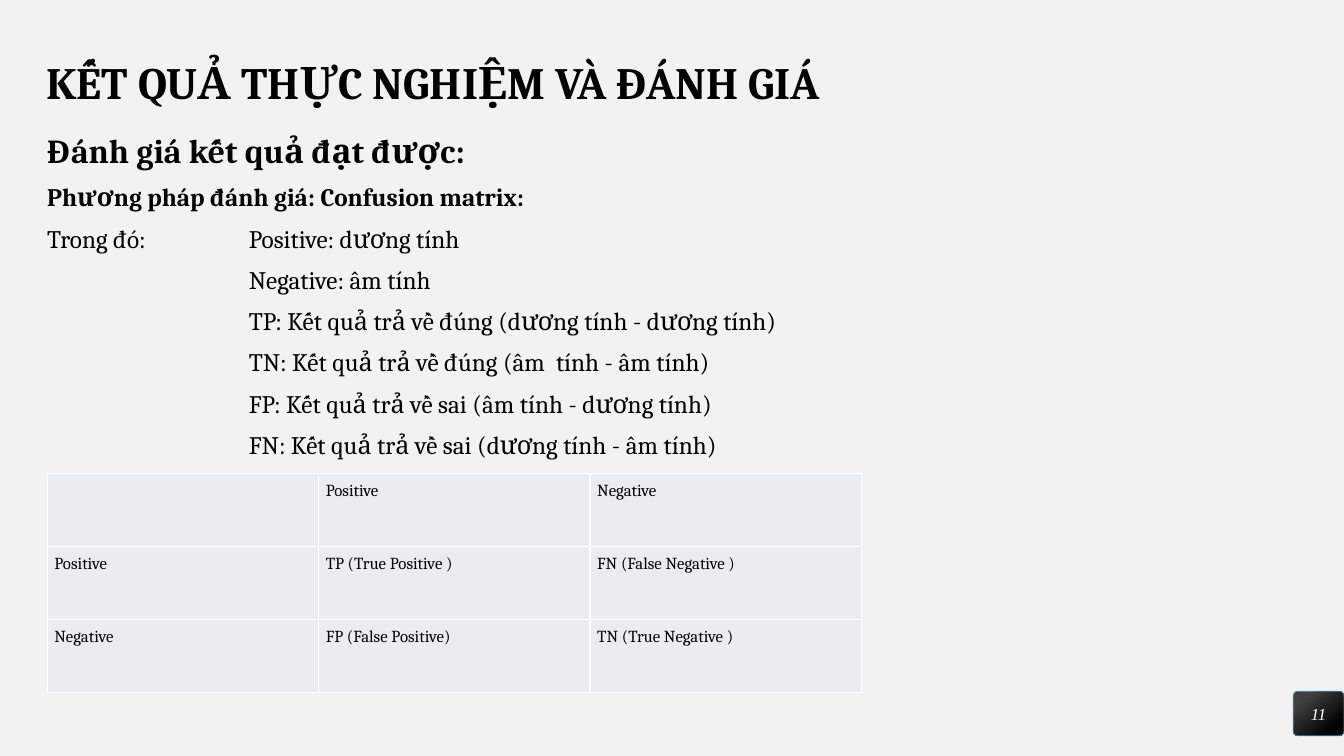
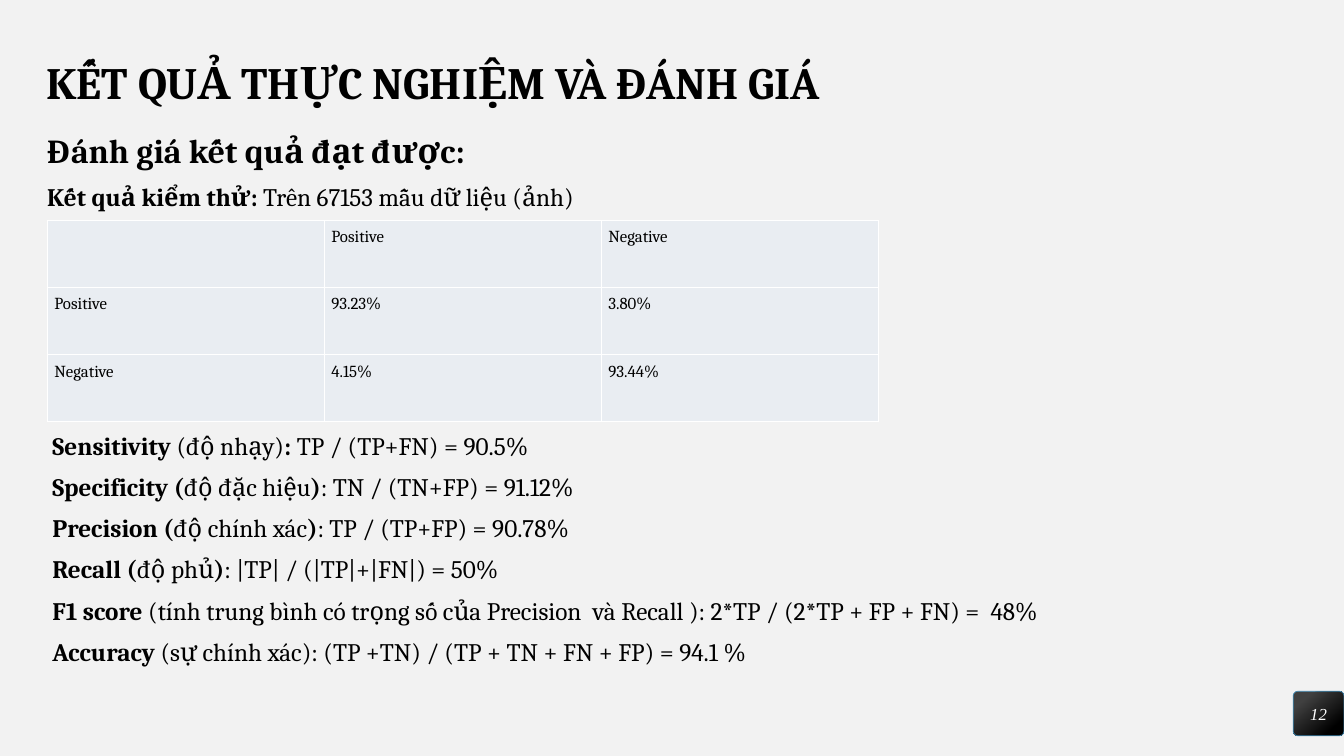
from lxml import etree
from pptx import Presentation
from pptx.dml.color import RGBColor
from pptx.enum import shapes, text
from pptx.oxml import ns
from pptx.util import Cm, Pt

COLORS = {"page": "F2F2F2", "text": "000000", "cell": "E9EDF2", "border": "FFFFFF",
          "badge_light": "404040", "badge_dark": "000000",
          "badge_line": "418AB3", "badge_text": "FFFFFF"}
FONT = "Cambria"
LEFT, WIDTH, INDENT = 1.19, 31.47, 5.08

TITLE = "KẾT QUẢ THỰC NGHIỆM VÀ ĐÁNH GIÁ"
SUBTITLE = "Đánh giá kết quả đạt được:"

# Text between underscores is bold.
SLIDES = [
    {
        "number": 11,
        "lead": "_Phương pháp đánh giá: Confusion matrix:_",
        "definitions": [
            "Trong đó:\tPositive: dương tính",
            "Negative: âm tính",
            "TP: Kết quả trả về đúng (dương tính - dương tính)",
            "TN: Kết quả trả về đúng (âm  tính - âm tính)",
            "FP: Kết quả trả về sai (âm tính - dương tính)",
            "FN: Kết quả trả về sai (dương tính - âm tính)",
        ],
        "table": {"top": 11.94, "col": 6.84, "row": 1.84, "cells": [
            ("", "Positive", "Negative"),
            ("Positive", "TP (True Positive )", "FN (False Negative )"),
            ("Negative", "FP (False Positive)", "TN (True Negative )"),
        ]},
        "metrics": [],
    },
    {
        "number": 12,
        "lead": "_Kết quả kiểm thử: _Trên 67153 mẫu dữ liệu (ảnh)",
        "definitions": [],
        "table": {"top": 5.56, "col": 6.98, "row": 1.69, "cells": [
            ("", "Positive", "Negative"),
            ("Positive", "93.23%", "3.80%"),
            ("Negative", "4.15%", "93.44%"),
        ]},
        "metrics": [
            "_Sensitivity _(độ nhạy)_: _TP / (TP+FN) = 90.5%",
            "_Specificity (_độ đặc hiệu_)_: TN / (TN+FP) = 91.12%",
            "_Precision (_độ chính xác_)_: TP / (TP+FP) = 90.78%",
            "_Recall (_độ phủ_)_: |TP| / (|TP|+|FN|) = 50%",
            "_F1 score_ (tính trung bình có trọng số của Precision  và Recall ): "
            "2*TP / (2*TP + FP + FN) =  48%",
            "_Accuracy _(sự chính xác): (TP +TN) / (TP + TN + FN + FP) = 94.1 %",
        ],
    },
]


def rgb(name):
    return RGBColor.from_string(COLORS[name])


def write(tf, line, size=18, font=FONT, color="text", italic=False, align=None,
          spacing=None, before=0, indent=0, tab=0):
    """Add one paragraph, filling the first one while it is still empty."""
    p = tf.paragraphs[0] if not tf.text else tf.add_paragraph()
    p.alignment, p.line_spacing, p.space_before = align, spacing, Pt(before)
    pPr = p._p.get_or_add_pPr()
    if indent:
        pPr.set("marL", str(Cm(indent)))
    if tab:
        tabs = etree.SubElement(pPr, ns.qn("a:tabLst"))
        etree.SubElement(tabs, ns.qn("a:tab"), pos=str(Cm(tab)), algn="l")
    for i, part in enumerate(line.split("_")):
        if part:
            r = p.add_run()
            r.text = part
            r.font.size, r.font.name = Pt(size), font
            r.font.bold, r.font.italic = i % 2 == 1, italic
            r.font.color.rgb = rgb(color)


def set_frame(tf, anchor):
    tf.word_wrap = True
    tf.vertical_anchor = anchor
    tf.margin_left = tf.margin_right = tf.margin_top = tf.margin_bottom = 0


def add_box(s, left, top, height, anchor=text.MSO_ANCHOR.TOP):
    tf = s.shapes.add_textbox(Cm(left), Cm(top), Cm(WIDTH), Cm(height)).text_frame
    set_frame(tf, anchor)
    return tf


def add_badge(s, number):
    sp = s.shapes.add_shape(shapes.MSO_SHAPE.ROUNDED_RECTANGLE,
                            Cm(32.59), Cm(17.42), Cm(1.28), Cm(1.12))
    sp.adjustments[0] = 0.1
    sp.shadow.inherit = False
    sp.fill.gradient()
    sp.fill.gradient_angle = 310
    stops = zip(sp.fill.gradient_stops, (("badge_light", 0.2), ("badge_dark", 0.82)))
    for stop, (color, position) in stops:
        stop.color.rgb, stop.position = rgb(color), position
    sp.line.color.rgb, sp.line.width = rgb("badge_line"), Pt(0.5)
    set_frame(sp.text_frame, text.MSO_ANCHOR.MIDDLE)
    write(sp.text_frame, str(number), size=12, font="Times New Roman",
          color="badge_text", italic=True, align=text.PP_ALIGN.CENTER)


def add_borders(cell):
    tcPr = cell._tc.get_or_add_tcPr()
    for side in ("lnL", "lnR", "lnT", "lnB"):
        ln = etree.SubElement(tcPr, ns.qn("a:" + side), w=str(Pt(1)))
        fill = etree.SubElement(ln, ns.qn("a:solidFill"))
        etree.SubElement(fill, ns.qn("a:srgbClr"), val=COLORS["border"])


def add_matrix(s, top, col, row, cells):
    n_rows, n_cols = len(cells), len(cells[0])
    table = s.shapes.add_table(n_rows, n_cols, Cm(LEFT), Cm(top),
                               Cm(col * n_cols), Cm(row * n_rows)).table
    table.first_row = table.horz_banding = False
    for column in table.columns:
        column.width = Cm(col)
    for table_row, values in zip(table.rows, cells):
        table_row.height = Cm(row)
        for cell, value in zip(table_row.cells, values):
            add_borders(cell)
            cell.fill.solid()
            cell.fill.fore_color.rgb = rgb("cell")
            cell.margin_left = cell.margin_right = Cm(0.18)
            cell.margin_top = cell.margin_bottom = Cm(0.18)
            write(cell.text_frame, value, size=12)


def add_slide(prs, content):
    s = prs.slides.add_slide(prs.slide_layouts[6])
    s.background.fill.solid()
    s.background.fill.fore_color.rgb = rgb("page")
    body = {"spacing": 0.9, "before": 10}

    title = add_box(s, LEFT - 0.02, 1.55, 1.19, text.MSO_ANCHOR.MIDDLE)
    write(title, f"_{TITLE}_", size=32, spacing=0.9)

    tf = add_box(s, LEFT, 3.4, 8.4 if content["definitions"] else 2.1)
    write(tf, f"_{SUBTITLE}_", size=24, **body)
    write(tf, content["lead"], **body)
    for line in content["definitions"]:
        place = {"tab": INDENT} if "\t" in line else {"indent": INDENT}
        write(tf, line, **place, **body)

    add_matrix(s, **content["table"])
    if content["metrics"]:
        tf = add_box(s, LEFT + 0.13, 10.92, 6.2)
        for line in content["metrics"]:
            write(tf, line, **body)
    add_badge(s, content["number"])


def main():
    prs = Presentation()
    prs.slide_width, prs.slide_height = Cm(33.87), Cm(19.05)
    for content in SLIDES:
        add_slide(prs, content)
    prs.save("out.pptx")


if __name__ == "__main__":
    main()
